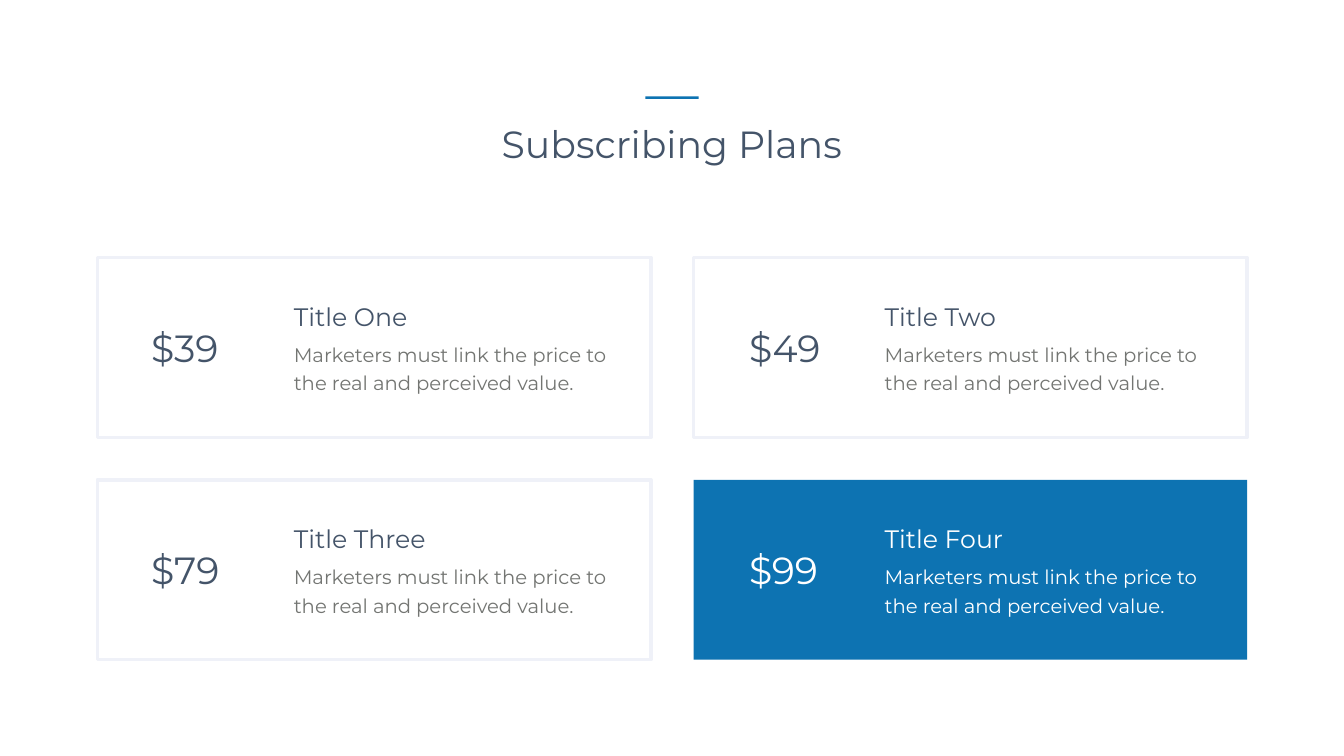
from pptx import Presentation
from pptx.dml.color import RGBColor
from pptx.enum import shapes, text
from pptx.util import Pt

TITLE = "Subscribing Plans"
BODY = "Marketers must link the price to the real and perceived value."
PLANS = [
    ("$39", "Title One"),
    ("$49", "Title Two"),
    ("$79", "Title Three"),
    ("$99", "Title Four"),
]
CHOSEN = 3

FONT = "Montserrat"
NAVY, GREY, BLUE, PALE, WHITE = "445469", "737572", "0D73B2", "EFF1F8", "FFFFFF"

# Left edges of card, price and text in each column
COLS = [(138.96, 208.8, 412.56), (990.72, 1062.72, 1256.4)]
TOP, STEP = 367.92, 317.52
CARD_W, CARD_H = 790.56, 257.04


def color(code):
    return RGBColor.from_string(code)


def place(shape, box):
    shape.left, shape.top, shape.width, shape.height = map(Pt, box)


def add_rect(slide, box, fill=None, line=None):
    rect = slide.shapes.add_shape(shapes.MSO_SHAPE.RECTANGLE, *map(Pt, box))
    rect.shadow.inherit = False
    if fill:
        rect.fill.solid()
        rect.fill.fore_color.rgb = color(fill)
    else:
        rect.fill.background()
    if line:
        rect.line.color.rgb = color(line)
        rect.line.width = Pt(5)
    else:
        rect.line.fill.background()


def write(shape, words, size, code, align=text.PP_ALIGN.LEFT, pitch=None):
    frame = shape.text_frame
    frame.word_wrap = True
    frame.auto_size = text.MSO_AUTO_SIZE.NONE
    frame.vertical_anchor = text.MSO_ANCHOR.TOP
    frame.text = words
    para = frame.paragraphs[0]
    para.alignment = align
    para.line_spacing = Pt(pitch) if pitch else 1.0
    para.space_before = Pt(0)
    para.font.name = FONT
    para.font.size = Pt(size)
    para.font.color.rgb = color(code)


def add_text(slide, box, words, size, code, pitch=None):
    label = slide.shapes.add_textbox(*map(Pt, box))
    write(label, words, size, code, pitch=pitch)


def add_plan(slide, index, price, name):
    row, col = divmod(index, len(COLS))
    card_x, price_x, text_x = COLS[col]
    top = TOP + row * STEP
    chosen = index == CHOSEN
    dark, soft = (WHITE, WHITE) if chosen else (NAVY, GREY)
    add_rect(slide, (card_x, top, CARD_W, CARD_H),
             fill=BLUE if chosen else None, line=None if chosen else PALE)
    add_text(slide, (price_x, top + 92.16, 140.4, 72.72), price, 54, dark)
    add_text(slide, (text_x, top + 59.04, 424.08, 51.12), name, 36, dark)
    add_text(slide, (text_x, top + 110.88, 460.8, 86.4), BODY, 28, soft, 40.8)


def main():
    deck = Presentation()
    deck.slide_width, deck.slide_height = Pt(1919.52), Pt(1080)
    slide = deck.slides.add_slide(deck.slide_layouts[5])
    title = slide.shapes.title
    place(title, (663.12, 168.48, 592.56, 72.72))
    write(title, TITLE, 54, NAVY, text.PP_ALIGN.CENTER)
    add_rect(slide, (921.6, 137.52, 76.32, 3.6), fill=BLUE)
    for index, plan in enumerate(PLANS):
        add_plan(slide, index, *plan)
    deck.save("out.pptx")


if __name__ == "__main__":
    main()
